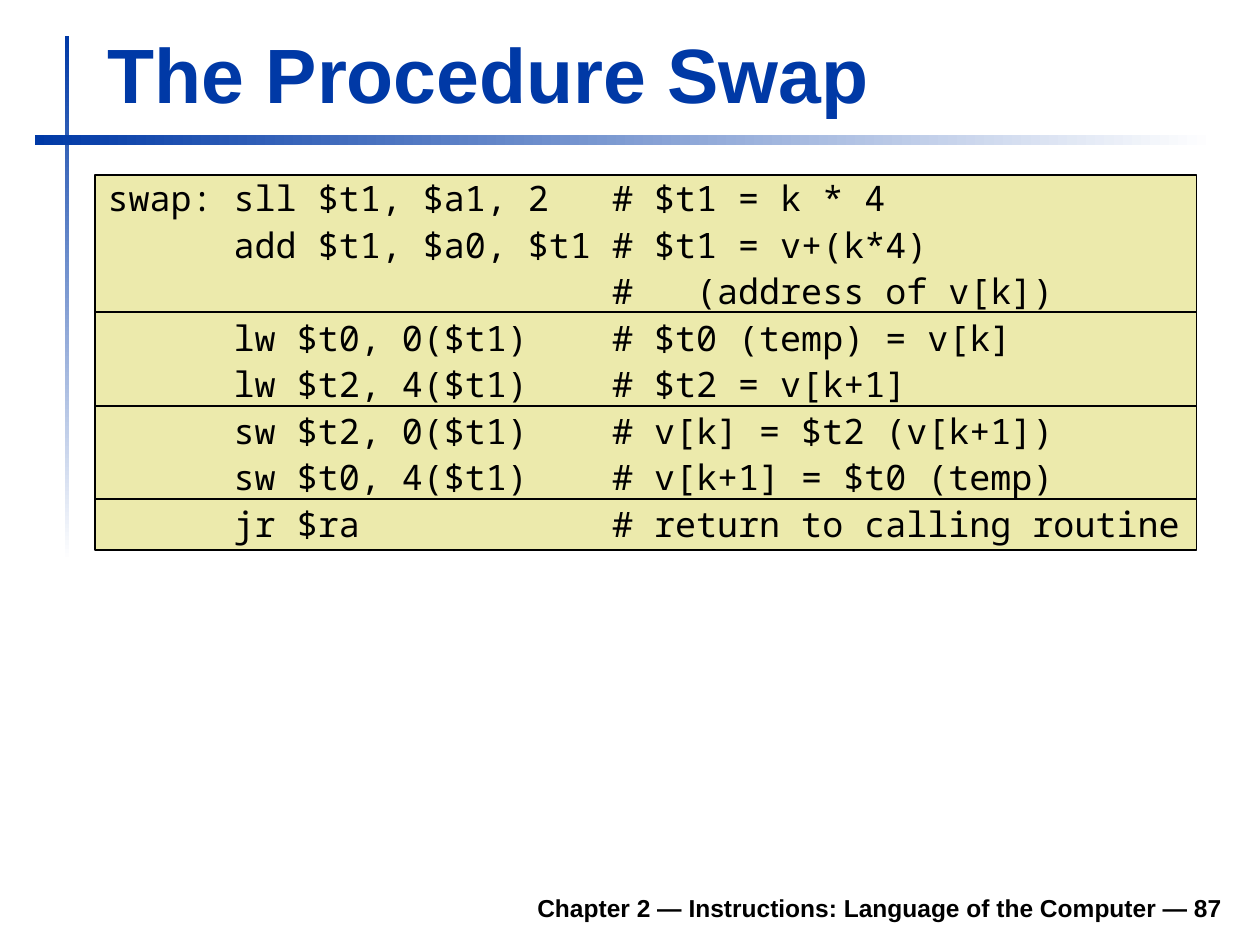
from lxml import etree
from pptx import Presentation
from pptx.dml.color import RGBColor
from pptx.enum.shapes import MSO_SHAPE
from pptx.enum.text import MSO_ANCHOR, MSO_AUTO_SIZE, PP_ALIGN
from pptx.oxml.ns import qn
from pptx.util import Emu, Pt

RECTANGLE = MSO_SHAPE.RECTANGLE
TOP, BOTTOM = MSO_ANCHOR.TOP, MSO_ANCHOR.BOTTOM
LEFT, RIGHT = PP_ALIGN.LEFT, PP_ALIGN.RIGHT
NO_AUTOFIT = MSO_AUTO_SIZE.NONE

EMU_PER_PX = 914400 // 126
COLORS = {"blue": "0039A6", "white": "FFFFFF", "code": "ECEAAC", "black": "000000"}

CODE_LINES = [
    "swap: sll $t1, $a1, 2   # $t1 = k * 4",
    "      add $t1, $a0, $t1 # $t1 = v+(k*4)",
    "                        #   (address of v[k])",
    "      lw $t0, 0($t1)    # $t0 (temp) = v[k]",
    "      lw $t2, 4($t1)    # $t2 = v[k+1]",
    "      sw $t2, 0($t1)    # v[k] = $t2 (v[k+1])",
    "      sw $t0, 4($t1)    # v[k+1] = $t0 (temp)",
    "      jr $ra            # return to calling routine",
]
# Edges of the bands behind the steps: address, loads, stores, return
BAND_EDGES = [175, 312, 406, 499, 550]


def px(value):
    return Emu(value * EMU_PER_PX)


def color(name):
    return RGBColor.from_string(COLORS[name])


def place(shape, left, top, width, height):
    shape.left, shape.top = px(left), px(top)
    shape.width, shape.height = px(width), px(height)


def add_rectangle(slide, left, top, width, height):
    rectangle = slide.shapes.add_shape(
        RECTANGLE, px(left), px(top), px(width), px(height))
    rectangle.shadow.inherit = False
    return rectangle


def add_fading_rule(slide, box, angle):
    rule = add_rectangle(slide, *box)
    rule.line.fill.background()
    rule.fill.gradient()
    rule.fill.gradient_angle = angle
    for stop, name, position in zip(rule.fill.gradient_stops, ("blue", "white"), (0, 1)):
        stop.color.rgb = color(name)
        stop.position = position


def add_code_band(slide, top, bottom):
    band = add_rectangle(slide, 95, top, 1102, bottom - top)
    band.fill.solid()
    band.fill.fore_color.rgb = color("code")
    band.line.color.rgb = color("black")
    band.line.width = Pt(0.75)


def write(shape, text, size, font_name, color_name, bold, align, anchor):
    frame = shape.text_frame
    frame.text = text
    frame.word_wrap = True
    frame.auto_size = NO_AUTOFIT
    frame.vertical_anchor = anchor
    for paragraph in frame.paragraphs:
        paragraph.alignment = align
        for run in paragraph.runs:
            run.font.size = Pt(size)
            run.font.name = font_name
            run.font.bold = bold
            run.font.color.rgb = color(color_name)


def format_code(body):
    for index, paragraph in enumerate(body.text_frame.paragraphs):
        paragraph.line_spacing = 0.9
        paragraph.space_before = Pt(5 if index else 0)
        properties = paragraph._p.get_or_add_pPr()
        properties.set("marL", str(px(48)))
        properties.set("indent", str(-px(48)))
        etree.SubElement(properties, qn("a:buNone"))


def main():
    presentation = Presentation()
    presentation.slide_width, presentation.slide_height = px(1260), px(945)
    slide = presentation.slides.add_slide(presentation.slide_layouts[1])
    title, code = slide.placeholders

    # Crossed rules
    add_fading_rule(slide, (65, 36, 4, 525), 270)
    add_fading_rule(slide, (35, 135, 1180, 10), 0)

    # Footer
    footer = slide.shapes.add_textbox(px(233), px(880), px(1002), px(49))
    write(footer, "Chapter 2 — Instructions: Language of the Computer — 87",
          14, "Arial", "black", True, RIGHT, BOTTOM)

    # Bands behind the code
    for top, bottom in zip(BAND_EDGES, BAND_EDGES[1:]):
        add_code_band(slide, top, bottom)

    # Title
    place(title, 95, 20, 1138, 105)
    write(title, "The Procedure Swap", 44, "Arial", "blue", True, LEFT, BOTTOM)

    # Code listing, brought in front of its bands
    place(code, 95, 175, 1139, 684)
    write(code, "\n".join(CODE_LINES), 20, "Noto Sans Mono", "black", False, LEFT, TOP)
    format_code(code)
    slide.shapes.element.append(code.element)

    presentation.save("out.pptx")


if __name__ == "__main__":
    main()
